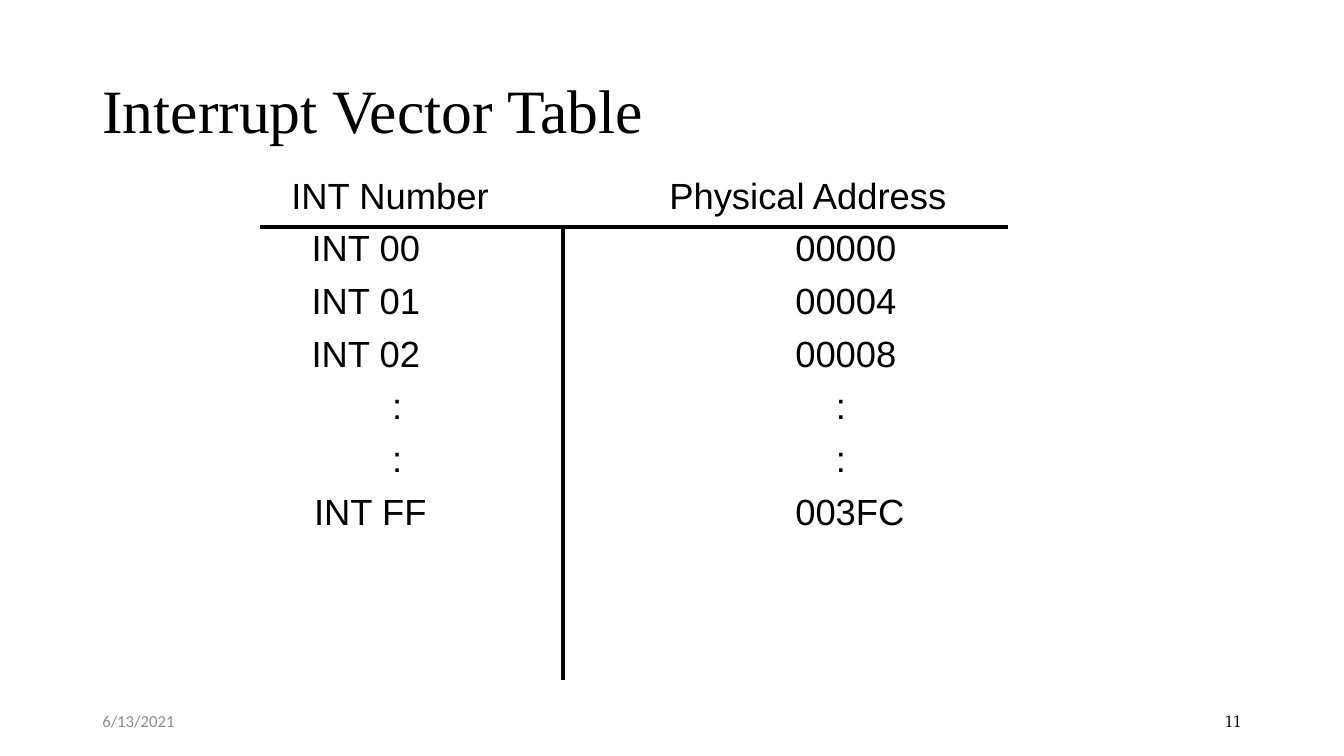
from lxml import etree
from pptx import Presentation
from pptx.dml.color import RGBColor
from pptx.enum import shapes, text
from pptx.oxml.ns import qn
from pptx.util import Pt

BLACK = RGBColor(0x00, 0x00, 0x00)
GRAY = RGBColor(0x8C, 0x8C, 0x8C)
LEFT, RIGHT = text.PP_ALIGN.LEFT, text.PP_ALIGN.RIGHT
TOP, MIDDLE = text.MSO_ANCHOR.TOP, text.MSO_ANCHOR.MIDDLE


class Deck:
    body_font = "Arial"
    body_size = 26
    row_gap = 6.4
    rule_width = 3

    def __init__(self, width, height):
        self.prs = Presentation()
        self.prs.slide_width, self.prs.slide_height = Pt(width), Pt(height)
        self.s = self.prs.slides.add_slide(self.prs.slide_layouts[5])

    def place(self, sp, box):
        sp.left, sp.top, sp.width, sp.height = (Pt(v) for v in box)

    def fill_text(self, sp, lines, font, size, color=BLACK, align=LEFT, anchor=MIDDLE):
        tf = sp.text_frame
        tf.text = "\n".join(lines)
        tf.word_wrap = True
        tf.auto_size = text.MSO_AUTO_SIZE.NONE
        tf.vertical_anchor = anchor
        for p in tf.paragraphs:
            p.alignment = align
            for r in p.runs:
                r.font.name, r.font.size = font, Pt(size)
                r.font.color.rgb = color
        return tf

    def title(self, words, box, font, size):
        sp = self.s.shapes.title
        self.place(sp, box)
        tf = self.fill_text(sp, [words], font, size)
        tf.paragraphs[0].line_spacing = 0.9

    def label(self, words, box, font, size, color=BLACK, align=LEFT):
        sp = self.s.shapes.add_textbox(*(Pt(v) for v in box))
        self.fill_text(sp, [words], font, size, color, align)

    def columns(self, rows, box):
        sp = self.s.shapes.add_textbox(*(Pt(v) for v in box))
        lines = [f"\t{number}\t{address}" for number, address, _ in rows]
        tf = self.fill_text(sp, lines, self.body_font, self.body_size, anchor=TOP)
        for p, (_, _, stops) in zip(tf.paragraphs, rows):
            p.space_before = Pt(self.row_gap)
            tabs = etree.SubElement(p._p.get_or_add_pPr(), qn("a:tabLst"))
            for stop in stops:
                etree.SubElement(tabs, qn("a:tab"), pos=str(Pt(stop)), algn="l")

    def rule(self, x1, y1, x2, y2):
        line = self.s.shapes.add_connector(
            shapes.MSO_CONNECTOR.STRAIGHT, Pt(x1), Pt(y1), Pt(x2), Pt(y2))
        line.line.color.rgb = BLACK
        line.line.width = Pt(self.rule_width)
        etree.SubElement(line._element.spPr, qn("a:effectLst"))

    def save(self):
        self.prs.save("out.pptx")


HEADER_STOPS = (27, 297)
ENTRY_STOPS = (41.5, 387)
DOTS_STOPS = (99, 416)
LAST_STOPS = (43.3, 387)

vectors = [("INT Number", "Physical Address", HEADER_STOPS)]
vectors += [(f"INT {i:02X}", f"{4 * i:05X}", ENTRY_STOPS) for i in range(3)]
vectors += [(":", ":", DOTS_STOPS)] * 2
vectors += [("INT FF", f"{4 * 0xFF:05X}", LAST_STOPS)]

deck = Deck(960, 540)
deck.label("6/13/2021", (66, 500.5, 216, 28.75), "Calibri", 12, GRAY)
deck.label("11", (678, 500.5, 216, 28.75), "TeX Gyre Pagella", 12, align=RIGHT)
deck.title("Interrupt Vector Table", (66, 28.75, 828, 104.4), "Times New Roman", 44)
deck.columns(vectors, (174, 120, 612, 378))
deck.rule(402, 162, 402, 486)
deck.rule(186, 162, 720, 162)
deck.save()
